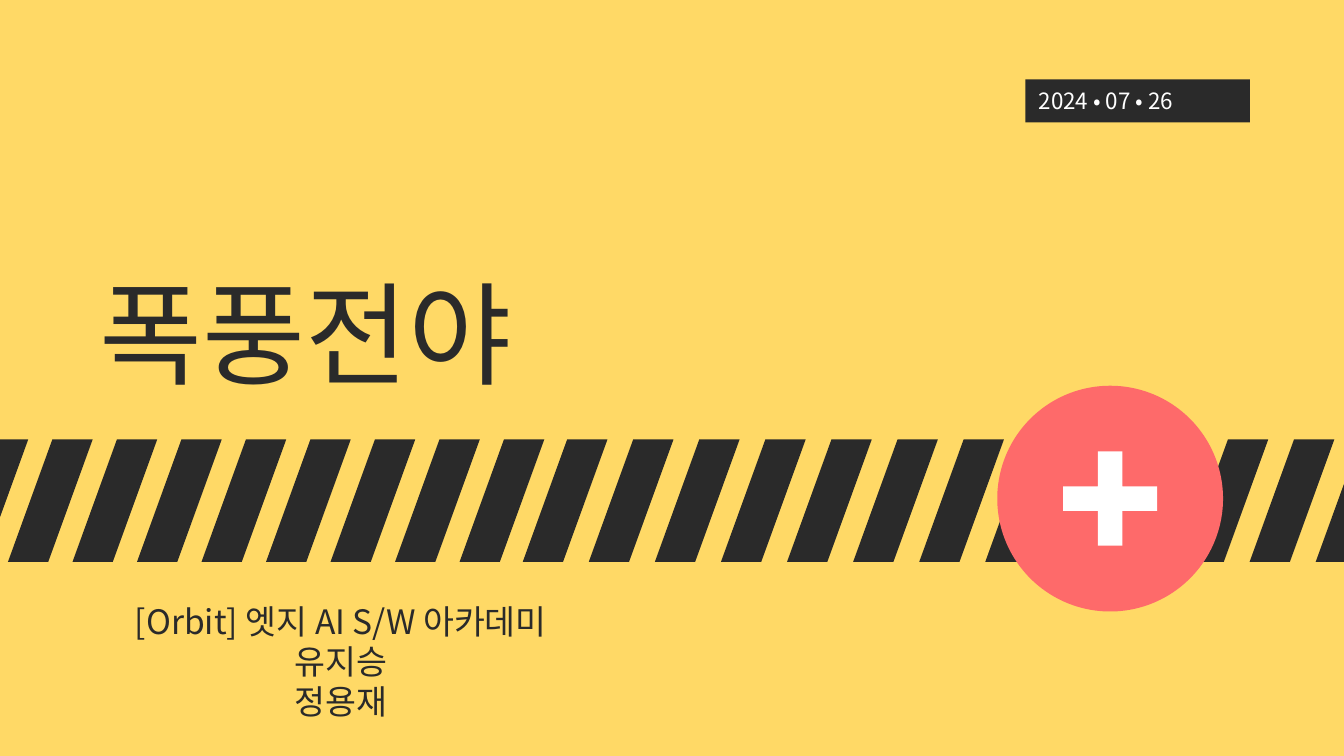
from lxml import etree
from pptx import Presentation
from pptx.dml.color import RGBColor
from pptx.enum.shapes import MSO_SHAPE
from pptx.enum.text import MSO_ANCHOR, MSO_AUTO_SIZE, PP_ALIGN
from pptx.oxml.ns import qn
from pptx.util import Inches, Pt

LEFT, CENTER = PP_ALIGN.LEFT, PP_ALIGN.CENTER
MIDDLE, BOTTOM = MSO_ANCHOR.MIDDLE, MSO_ANCHOR.BOTTOM
OVAL, CROSS, RECTANGLE = MSO_SHAPE.OVAL, MSO_SHAPE.CROSS, MSO_SHAPE.RECTANGLE

WIDTH = 10
HEIGHT = WIDTH * 9 / 16
FONT = "Noto Sans CJK KR"
YELLOW, DARK, CORAL, WHITE = "FFD966", "2A2A2A", "FE6A6A", "FFFFFF"

# Hazard band: left end, number of stripes and step of each run
STRIPE_RUNS = [(-0.42, 9, 0.48), (3.89, 13, 5.9 / 12)]
STRIPE_TOP, STRIPE_BOTTOM = 3.27, 4.18
STRIPE_WIDTH, STRIPE_SLANT = 0.3, 0.33

# Badge: centre of the circle and the cross
BADGE_X, BADGE_Y = 8.26, 3.71


def color(hex_string):
    return RGBColor.from_string(hex_string)


def paint(shape, fill):
    shape.fill.solid()
    shape.fill.fore_color.rgb = color(fill)
    shape.line.fill.background()
    shape.shadow.inherit = False


def place(shape, left, top, width, height):
    box = {"left": left, "top": top, "width": width, "height": height}
    for name, value in box.items():
        setattr(shape, name, Inches(value))


def write(shape, lines, size, fill, anchor, align=LEFT, line_spacing=1.0):
    frame = shape.text_frame
    frame_format = {"word_wrap": True, "auto_size": MSO_AUTO_SIZE.NONE,
                    "vertical_anchor": anchor}
    for side in ("left", "top", "right", "bottom"):
        frame_format[f"margin_{side}"] = Inches(0.1)
    for name, value in frame_format.items():
        setattr(frame, name, value)

    frame.text = "\n".join(lines)
    for paragraph in frame.paragraphs:
        paragraph_format = {"alignment": align, "line_spacing": line_spacing,
                            "space_before": Pt(0), "space_after": Pt(0)}
        for name, value in paragraph_format.items():
            setattr(paragraph, name, value)
        for run in paragraph.runs:
            for name, value in {"name": FONT, "size": Pt(size), "bold": False}.items():
                setattr(run.font, name, value)
            run.font.color.rgb = color(fill)
            # Korean letters take the East Asian font
            etree.SubElement(run.font._element, qn("a:ea"), typeface=FONT)


def add_stripe(shapes, left):
    right = left + STRIPE_SLANT
    corners = [(right + STRIPE_WIDTH, STRIPE_TOP), (right, STRIPE_TOP),
               (left, STRIPE_BOTTOM), (left + STRIPE_WIDTH, STRIPE_BOTTOM)]
    points = [(Inches(x), Inches(y)) for x, y in corners]
    builder = shapes.build_freeform(*points[0], scale=1.0)
    builder.add_line_segments(points[1:], close=True)
    paint(builder.convert_to_shape(), DARK)


def add_hazard_band(slide):
    band = slide.shapes.add_group_shape()
    for start, count, step in STRIPE_RUNS:
        for index in range(count):
            add_stripe(band.shapes, start + index * step)


def add_filled_shape(shapes, kind, box, fill):
    shape = shapes.add_shape(kind, *map(Inches, box))
    paint(shape, fill)
    return shape


def add_badge(slide):
    badge = slide.shapes.add_group_shape()
    for kind, size, fill in ((OVAL, 1.68, CORAL), (CROSS, 0.7, WHITE)):
        box = (BADGE_X - size / 2, BADGE_Y - size / 2, size, size)
        shape = add_filled_shape(badge.shapes, kind, box, fill)
        if kind == CROSS:
            shape.adjustments[0] = 0.37


def main():
    presentation = Presentation()
    presentation.slide_width = Inches(WIDTH)
    presentation.slide_height = Inches(HEIGHT)
    slide = presentation.slides.add_slide(presentation.slide_layouts[5])
    slide.background.fill.solid()
    slide.background.fill.fore_color.rgb = color(YELLOW)

    # Title
    title = slide.shapes.title
    place(title, 0.64, 0.59, 8.87, 2.47)
    write(title, ["폭풍전야"], 60, DARK, BOTTOM, line_spacing=0.8)

    # Course and team members
    team = slide.shapes.add_textbox(*map(Inches, (0.69, 4.63, 3.69, 0.58)))
    write(team, ["[Orbit] 엣지 AI S/W 아카데미", "유지승", "정용재"],
          18, DARK, MIDDLE, CENTER)

    # Decoration
    add_hazard_band(slide)
    add_badge(slide)

    # Date label
    date = add_filled_shape(slide.shapes, RECTANGLE, (7.63, 0.59, 1.67, 0.32), DARK)
    write(date, ["2024 • 07 • 26"], 12, WHITE, MIDDLE)

    presentation.save("out.pptx")


if __name__ == "__main__":
    main()
